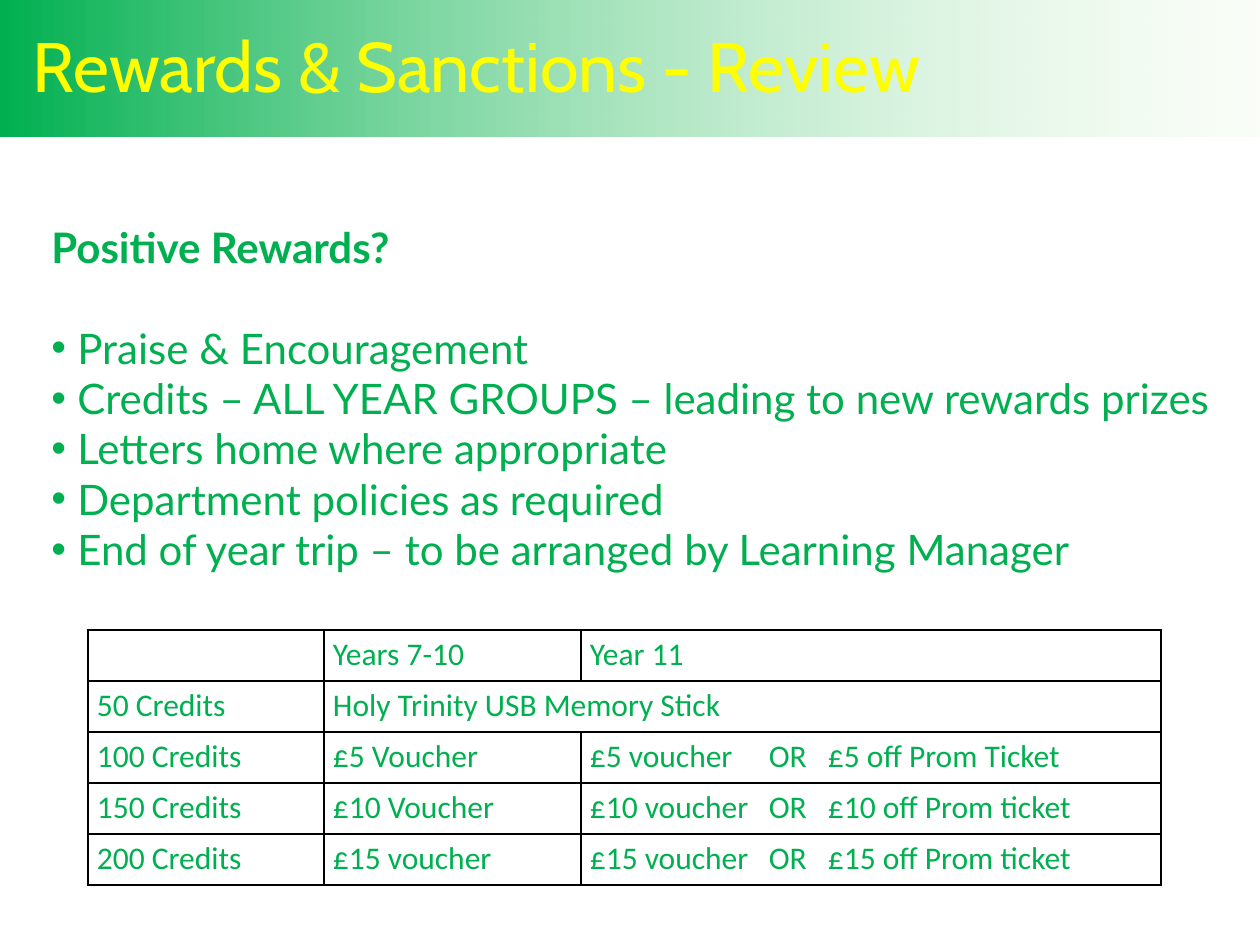
from lxml import etree
from pptx import Presentation
from pptx import util as u
from pptx.dml.color import RGBColor
from pptx.enum import shapes, text
from pptx.oxml.ns import qn

TITLE = "Rewards & Sanctions - Review"
HEAD = "Positive Rewards?"
POINTS = [
    "Praise & Encouragement",
    "Credits – ALL YEAR GROUPS – leading to new rewards prizes",
    "Letters home where appropriate",
    "Department policies as required",
    "End of year trip – to be arranged by Learning Manager",
]
PRIZES = [
    ("", "Years 7-10", "Year 11"),
    ("50 Credits", "Holy Trinity USB Memory Stick", None),
    ("100 Credits", "£5 Voucher", "£5 voucher\tOR\t£5 off Prom Ticket"),
    ("150 Credits", "£10 Voucher", "£10 voucher\tOR\t£10 off Prom ticket"),
    ("200 Credits", "£15 voucher", "£15 voucher\tOR\t£15 off Prom ticket"),
]
COLS = (236, 257, 580)
ROW = 51
TABS = (179, 238)
HANG = 26
HUES = {"green": "00B050", "pale": "EAFAE0", "yellow": "FFFF00",
        "white": "FFFFFF", "black": "000000"}


def px(n):
    return u.Emu(round(n * 914400 / 126))


def hue(name):
    return RGBColor.from_string(HUES[name])


def add(node, tag, **attrs):
    kid = etree.SubElement(node, qn(tag))
    for key, val in attrs.items():
        kid.set(key, str(val))
    return kid


def style(para, face, size, color, bold=False):
    for run in para.runs:
        run.font.name = face
        run.font.size = u.Pt(size)
        run.font.bold = bold
        run.font.color.rgb = hue(color)


def textbox(x, y, w, h):
    frame = slide.shapes.add_textbox(px(x), px(y), px(w), px(h)).text_frame
    frame.word_wrap = True
    return frame


def border(cell):
    props = cell._tc.get_or_add_tcPr()
    for i, side in enumerate(("a:lnL", "a:lnR", "a:lnT", "a:lnB")):
        line = etree.Element(qn(side), w=str(u.Pt(1)))
        add(add(line, "a:solidFill"), "a:srgbClr", val=HUES["black"])
        props.insert(i, line)


prs = Presentation()
prs.slide_width, prs.slide_height = px(1260), px(945)
slide = prs.slides.add_slide(prs.slide_layouts[6])

# Fading title band
band = slide.shapes.add_shape(shapes.MSO_SHAPE.RECTANGLE, 0, 0, px(1260), px(137))
band.shadow.inherit = False
band.line.fill.background()
band.fill.gradient()
band.fill.gradient_angle = 0
for stop, name in zip(band.fill.gradient_stops, ("green", "pale")):
    stop.color.rgb = hue(name)
pale = list(band._element.iter(qn("a:srgbClr")))[-1]
add(pale, "a:alpha", val=22000)

# Title
frame = textbox(20, 0, 1240, 129)
frame.vertical_anchor = text.MSO_ANCHOR.MIDDLE
frame.text = TITLE
style(frame.paragraphs[0], "Cabin", 40, "yellow")

# Heading and bullets
frame = textbox(39, 215, 1191, 370)
frame.text = HEAD
style(frame.paragraphs[0], "Lato", 24, "green", True)
for i, point in enumerate(POINTS):
    para = frame.add_paragraph()
    para.text = point
    props = para._p.get_or_add_pPr()
    props.set("marL", str(px(HANG)))
    props.set("indent", str(-px(HANG)))
    add(props, "a:buFont", typeface="Arial")
    add(props, "a:buChar", char="•")
    if i == 0:
        para.space_before = u.Pt(28.8)
    style(para, "Lato", 24, "green")

# Prize table
grid = slide.shapes.add_table(len(PRIZES), len(COLS), px(88), px(630),
                              px(sum(COLS)), px(ROW * len(PRIZES))).table
grid.first_row = grid.horz_banding = False
for col, wide in zip(grid.columns, COLS):
    col.width = px(wide)
for r, row in enumerate(PRIZES):
    grid.rows[r].height = px(ROW)
    for c, words in enumerate(row):
        cell = grid.cell(r, c)
        cell.fill.solid()
        cell.fill.fore_color.rgb = hue("white")
        border(cell)
        cell.margin_left = cell.margin_right = px(9)
        cell.margin_top = cell.margin_bottom = 0
        if words is None:
            grid.cell(r, c - 1).merge(cell)
            continue
        para = cell.text_frame.paragraphs[0]
        para.text = words
        if "\t" in words:
            tabs = add(para._p.get_or_add_pPr(), "a:tabLst")
            for pos in TABS:
                add(tabs, "a:tab", pos=px(pos), algn="l")
        para.line_spacing = 1.15
        style(para, "Calibri", 18, "green")

prs.save("out.pptx")
